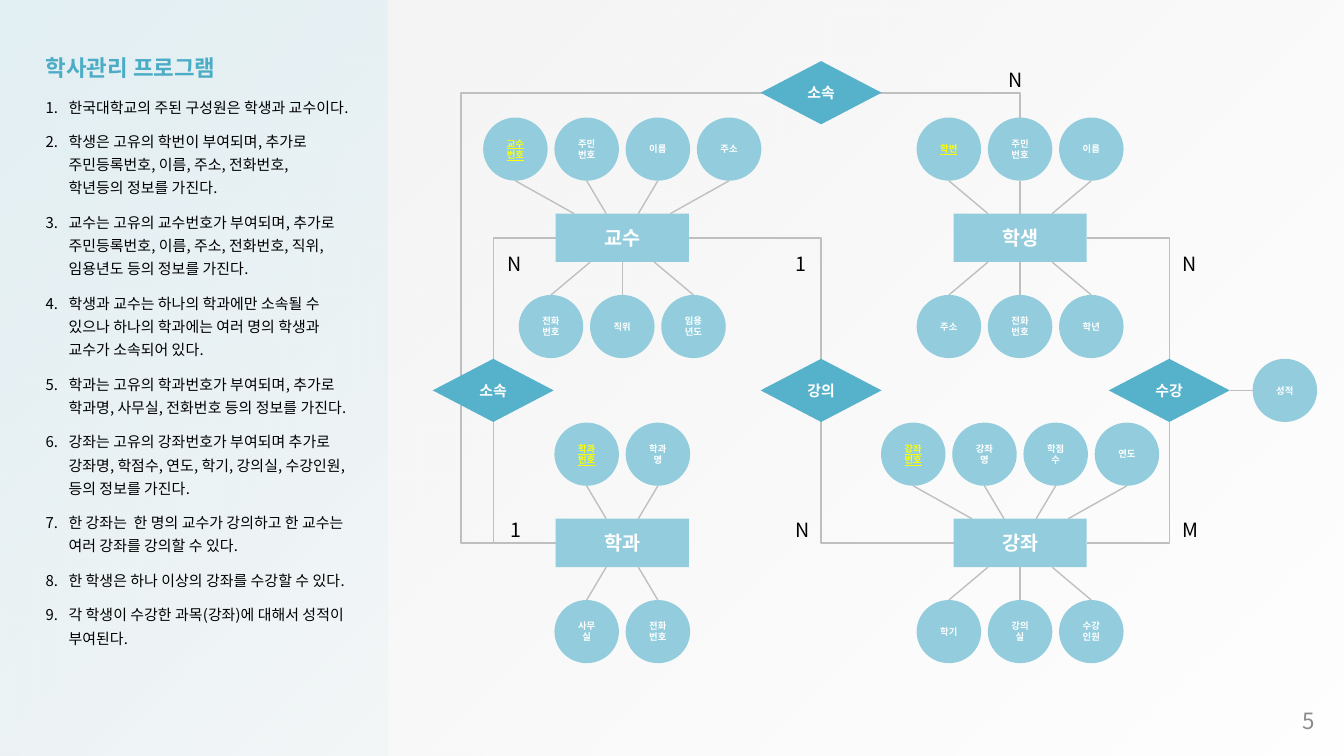
from pptx import Presentation
from pptx.dml.color import RGBColor
from pptx.enum.shapes import MSO_CONNECTOR as Connector, MSO_SHAPE as Shape
from pptx.enum.text import MSO_ANCHOR as Anchor, MSO_AUTO_SIZE as AutoSize, PP_ALIGN as Align
from pptx.oxml.ns import qn
from pptx.oxml.xmlchemy import OxmlElement
from pptx.util import Inches, Pt

FONT = "Noto Sans CJK KR"
COLORS = {
    "backdrop": "F2F2F2", "panel": "DBEEF4", "heading": "4BACC6", "text": "000000",
    "number": "8C8C8C", "node": "93CDDD", "relation": "56B1CA", "line": "BFBFBF",
    "white": "FFFFFF", "key": "FFFF00",
}
SLIDE_W = 10
SLIDE_H = SLIDE_W * 9 / 16
CIRCLE_W, CIRCLE_H, CIRCLE_PITCH = 0.48, 0.47, 0.53
ENTITY_W, ENTITY_H = 0.99, 0.36
DIAMOND_W, DIAMOND_H = 0.9, 0.47
ROW_GAP = 0.66  # entity centre to attribute centre
FAN = 0.45      # share of an attribute's offset kept at the entity's edge

RULES = [
    "한국대학교의 주된 구성원은 학생과 교수이다.",
    "학생은 고유의 학번이 부여되며, 추가로 주민등록번호, 이름, 주소, 전화번호, 학년등의 정보를 가진다.",
    "교수는 고유의 교수번호가 부여되며, 추가로  주민등록번호, 이름, 주소, 전화번호, 직위, 임용년도 등의 정보를 가진다.",
    "학생과 교수는 하나의 학과에만 소속될 수 있으나 하나의 학과에는 여러 명의 학생과 교수가 소속되어 있다.",
    "학과는 고유의 학과번호가 부여되며, 추가로 학과명, 사무실, 전화번호 등의 정보를 가진다.",
    "강좌는 고유의 강좌번호가 부여되며 추가로 강좌명, 학점수, 연도, 학기, 강의실, 수강인원, 등의 정보를 가진다.",
    "한 강좌는  한 명의 교수가 강의하고 한 교수는 여러 강좌를 강의할 수 있다.",
    "한 학생은 하나 이상의 강좌를 수강할 수 있다.",
    "각 학생이 수강한 과목(강좌)에 대해서 성적이 부여된다.",
]


def rgb(name):
    return RGBColor.from_string(COLORS[name])


def format_runs(paragraph, size, color, bold=False, underline=False):
    for run in paragraph.runs:
        font = run.font
        font.name, font.size, font.bold = FONT, Pt(size), bold
        font.underline = underline
        font.color.rgb = rgb(color)
        east_asian = OxmlElement("a:ea")
        east_asian.set("typeface", FONT)
        properties = run._r.get_or_add_rPr()
        properties.set("kern", "0")
        properties.find(qn("a:latin")).addnext(east_asian)


def add_gradient(slide, box, color, alphas, angle):
    """Rectangle in one colour whose opacity (percent) runs between two values."""
    shape = slide.shapes.add_shape(Shape.RECTANGLE, *map(Inches, box))
    shape.shadow.inherit = False
    shape.line.fill.background()
    shape.fill.gradient()
    shape.fill.gradient_angle = angle
    for stop in shape.fill.gradient_stops:
        stop.color.rgb = rgb(color)
    for element, percent in zip(shape._element.spPr.iter(qn("a:srgbClr")), alphas):
        alpha = OxmlElement("a:alpha")
        alpha.set("val", str(percent * 1000))
        element.append(alpha)


def add_node(slide, kind, center, size, text, points, fill="node", key=False):
    (x, y), (width, height) = center, size
    shape = slide.shapes.add_shape(kind, Inches(x - width / 2), Inches(y - height / 2),
                                   Inches(width), Inches(height))
    shape.shadow.inherit = False
    shape.fill.solid()
    shape.fill.fore_color.rgb = rgb(fill)
    shape.line.fill.background()
    frame = shape.text_frame
    frame.text = text
    frame.word_wrap = True
    frame.vertical_anchor = Anchor.MIDDLE
    frame.paragraphs[0].alignment = Align.CENTER
    format_runs(frame.paragraphs[0], points, "key" if key else "white", True, key)
    return shape


def add_attribute(slide, x, y, text, key=False):
    return add_node(slide, Shape.OVAL, (x, y), (CIRCLE_W, CIRCLE_H), text, 5, key=key)


def add_relation(slide, x, y, text):
    return add_node(slide, Shape.DIAMOND, (x, y), (DIAMOND_W, DIAMOND_H), text, 8, "relation")


def add_line(slide, start, end, kind=Connector.STRAIGHT):
    line = slide.shapes.add_connector(kind, *map(Inches, (*start, *end)))
    line.line.color.rgb = rgb("line")
    line.line.width = Pt(0.75)
    line._element.spPr.append(OxmlElement("a:effectLst"))
    return line


def add_bracket(slide, x, outer_x, top, bottom):
    """Open three-sided path that leaves x, runs down at outer_x and returns."""
    points = [(Inches(a), Inches(b)) for a, b in
              ((x, top), (outer_x, top), (outer_x, bottom), (x, bottom))]
    builder = slide.shapes.build_freeform(*points[0])
    builder.add_line_segments(points[1:], close=False)
    bracket = builder.convert_to_shape()
    bracket.shadow.inherit = False
    bracket.fill.background()
    bracket.line.color.rgb = rgb("line")
    bracket.line.width = Pt(0.75)


def add_label(slide, box, text, size=10.5, color="text", align=Align.LEFT, spacing=2.0):
    frame = slide.shapes.add_textbox(*map(Inches, box)).text_frame
    frame.text = text
    frame.word_wrap = True
    frame.vertical_anchor = Anchor.MIDDLE
    paragraph = frame.paragraphs[0]
    paragraph.alignment, paragraph.line_spacing = align, spacing
    format_runs(paragraph, size, color)


def add_entity(slide, x, y, name, upper, lower):
    """Entity with a row of attributes above and below; the first upper one is the key."""
    entity = add_node(slide, Shape.RECTANGLE, (x, y), (ENTITY_W, ENTITY_H), name, 10.5)
    for side, names, site in ((-1, upper, 0), (1, lower, 2)):
        row_y = y + side * ROW_GAP
        for index, text in enumerate(names):
            offset = (index - (len(names) - 1) / 2) * CIRCLE_PITCH
            line = add_line(slide, (x + offset, row_y - side * CIRCLE_H / 2),
                            (x + offset * FAN, y + side * ENTITY_H / 2))
            if offset == 0:
                line.end_connect(entity, site)
            add_attribute(slide, x + offset, row_y, text, side < 0 and index == 0)


def add_narrative(slide, box):
    left, top, width, height = box
    title, body = slide.shapes.title, slide.placeholders[1]
    heading_height = 0.4
    for holder, y, tall in ((title, top, heading_height),
                            (body, top + heading_height, height - heading_height)):
        slide.shapes._spTree.append(holder._element)
        holder.left, holder.top = Inches(left), Inches(y)
        holder.width, holder.height = Inches(width), Inches(tall)
        frame = holder.text_frame
        frame.word_wrap = True
        frame.auto_size = AutoSize.NONE
        frame.vertical_anchor = Anchor.TOP
        frame.margin_left, frame.margin_right = Inches(0.09), Inches(0.12)
    title.text_frame.text = "학사관리 프로그램"
    body.text_frame.text = "\n".join(RULES)
    body.text_frame.margin_top = 0
    for paragraph in (*title.text_frame.paragraphs, *body.text_frame.paragraphs):
        paragraph.alignment, paragraph.line_spacing = Align.LEFT, 1.3
        paragraph.space_before, paragraph.space_after = Pt(0), Pt(6)
    format_runs(title.text_frame.paragraphs[0], 12, "heading", True)
    for paragraph in body.text_frame.paragraphs:
        properties = paragraph._p.get_or_add_pPr()
        properties.set("marL", str(Inches(0.17)))
        properties.set("indent", str(-Inches(0.17)))
        numbering = OxmlElement("a:buAutoNum")
        numbering.set("type", "arabicPeriod")
        properties.append(numbering)
        format_runs(paragraph, 8, "text")


def add_diagram(slide, box):
    left, top, width, height = box
    staff_x, study_x = left + 1.41, left + 4.37
    upper_y, lower_y = top + 1.31, top + height - 0.9
    middle_y = (upper_y + lower_y) / 2
    dept_x, teach_x, enrol_x = left + 0.45, left + 2.89, left + 5.48
    outer_x, outer_y = left + 0.21, top + 0.23
    half = ENTITY_W / 2

    # Outer route: department, round the left and top, to the student's middle attribute
    start, end = (staff_x - half, lower_y), (study_x, upper_y - ROW_GAP - CIRCLE_H / 2)
    route = add_line(slide, start, end, Connector.ELBOW)
    geometry = route._element.spPr.find(qn("a:prstGeom"))
    geometry.set("prst", "bentConnector4")
    guides = geometry.get_or_add_avLst()
    ratios = ((outer_x - start[0]) / (end[0] - start[0]),
              (outer_y - start[1]) / (end[1] - start[1]))
    for number, ratio in enumerate(ratios, 1):
        guide = OxmlElement("a:gd")
        guide.set("name", f"adj{number}")
        guide.set("fmla", f"val {round(ratio * 100000)}")
        guides.append(guide)
    add_bracket(slide, staff_x - half, dept_x, upper_y, lower_y)
    add_bracket(slide, study_x + half, enrol_x, upper_y, lower_y)
    add_line(slide, (staff_x + half, upper_y), (study_x - half, lower_y), Connector.ELBOW)

    add_entity(slide, staff_x, upper_y, "교수", ["교수번호", "주민번호", "이름", "주소"],
               ["전화번호", "직위", "임용년도"])
    add_entity(slide, study_x, upper_y, "학생", ["학번", "주민번호", "이름"],
               ["주소", "전화번호", "학년"])
    add_entity(slide, staff_x, lower_y, "학과", ["학과번호", "학과명"], ["사무실", "전화번호"])
    add_entity(slide, study_x, lower_y, "강좌", ["강좌번호", "강좌명", "학점수", "연도"],
               ["학기", "강의실", "수강인원"])

    add_relation(slide, teach_x, outer_y, "소속")
    add_relation(slide, dept_x, middle_y, "소속")
    add_relation(slide, teach_x, middle_y, "강의")
    enrolment = add_relation(slide, enrol_x, middle_y, "수강")
    grade_x = left + width - CIRCLE_W / 2
    add_attribute(slide, grade_x, middle_y, "성적")
    link = add_line(slide, (enrol_x + DIAMOND_W / 2, middle_y),
                    (grade_x - CIRCLE_W / 2, middle_y))
    link.begin_connect(enrolment, 3)

    label_w, label_h = 0.45, 0.15
    for x, upper, lower, align in ((left + 0.31, "N", "1", Align.RIGHT),
                                   (left + 2.6, "1", "N", Align.LEFT),
                                   (enrol_x, "N", "M", Align.LEFT)):
        add_label(slide, (x, top + 1.34, label_w, label_h), upper, align=align)
        add_label(slide, (x, top + 3.32, label_w, label_h), lower, align=align)
    add_label(slide, (left + 4.04, top - 0.03, label_w, label_h), "N", align=Align.RIGHT)


def main():
    presentation = Presentation()
    presentation.slide_width, presentation.slide_height = Inches(SLIDE_W), Inches(SLIDE_H)
    slide = presentation.slides.add_slide(presentation.slide_layouts[1])
    add_gradient(slide, (0, 0, SLIDE_W, SLIDE_H), "backdrop", (100, 4), 315)
    add_gradient(slide, (0, 0, 2.88, SLIDE_H), "panel", (15, 69), 135)
    add_label(slide, (9.32, 5.21, 0.56, 0.3), "5", 12, "number", Align.RIGHT, 1.0)
    add_narrative(slide, (0.25, 0.29, 2.44, 5.15))
    add_diagram(slide, (3.22, 0.46, 6.58, 4.48))
    presentation.save("out.pptx")


if __name__ == "__main__":
    main()
